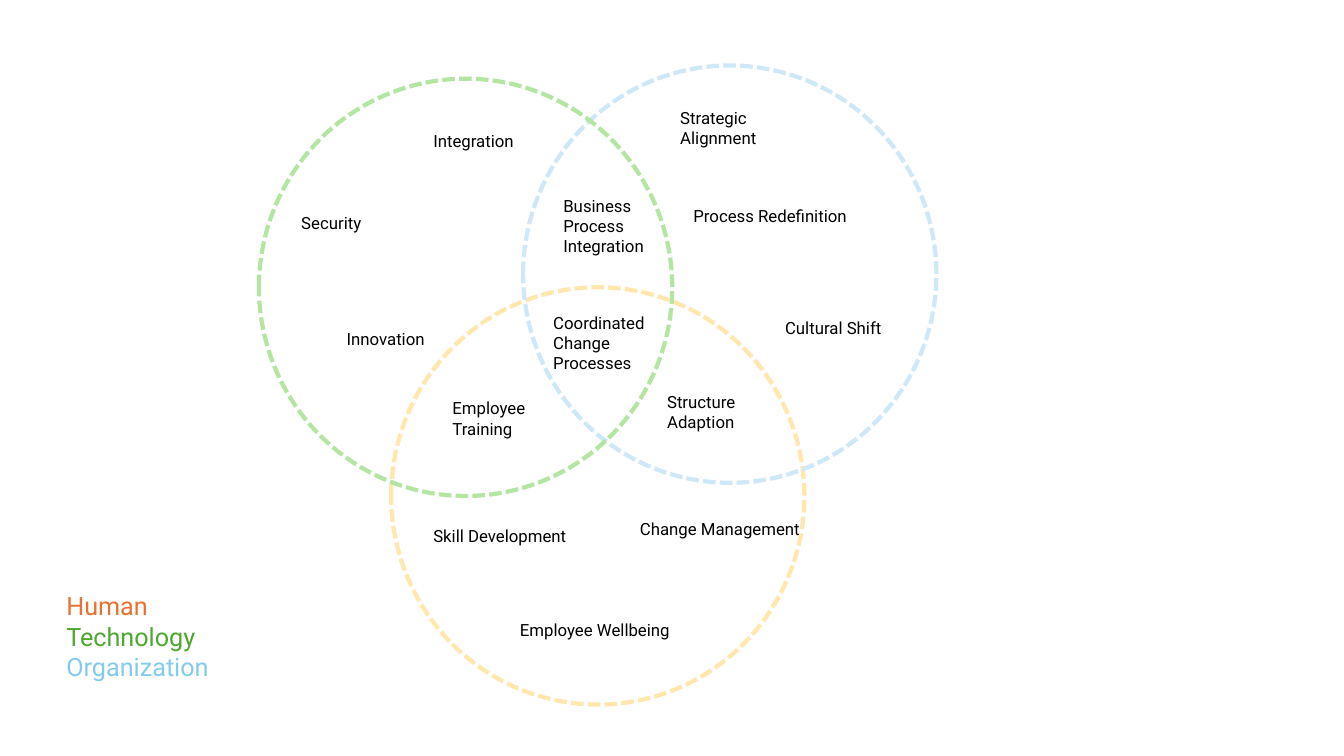
import pptx
import pptx.util
import pptx.dml.color
import pptx.enum.dml
import pptx.enum.shapes
import pptx.enum.text

Pt = pptx.util.Pt
COLORS = {
    "human ring": "FFE7AD", "organization ring": "CEE8F7", "technology ring": "B4E5A2",
    "human": "E97132", "technology": "4EA72E", "organization": "83CBEB",
    "label": "000000",
}
FONT = "Roboto"

# Ring colour, left, top
RINGS = [
    ("human ring", 279.4, 205.2),
    ("organization ring", 373.7, 46.8),
    ("technology ring", 185, 56.2),
]
RING_W, RING_H = 295.2, 298.1

LEGEND = [("Human", "human"), ("Technology", "technology"), ("Organization", "organization")]

# Text, left, top, width, lines of box height
LABELS = [
    ("Integration", 302.4, 90, 142.6, 1),
    ("Security", 208.1, 148.3, 142.6, 1),
    ("Innovation", 240.5, 231.1, 142.6, 1),
    ("Employee Training", 316.1, 280.8, 99.4, 2),
    ("Skill Development", 302.4, 372.2, 142.6, 1),
    ("Change Management", 450, 367.2, 142.6, 1),
    ("Employee Wellbeing", 364.3, 439.2, 142.6, 1),
    ("Business Process Integration", 395.3, 136.1, 99.4, 3),
    ("Structure Adaption", 469.4, 276.5, 99.4, 2),
    ("Process Redefinition", 488.2, 143.3, 148.3, 1),
    ("Strategic Alignment", 478.8, 73.4, 117.4, 1),
    ("Cultural Shift", 553.7, 223.2, 99.4, 1),
    ("Coordinated Change Processes", 388.1, 219.6, 81.4, 3),
]
LINE_H, PAD = 14.5, 7.2


def rgb(name):
    return pptx.dml.color.RGBColor.from_string(COLORS[name])


def add_text(s, lines, left, top, width, height, size=12):
    """Add a text box with one paragraph for each (text, colour) pair."""
    tf = s.shapes.add_textbox(Pt(left), Pt(top), Pt(width), Pt(height)).text_frame
    tf.word_wrap = True
    tf.auto_size = pptx.enum.text.MSO_AUTO_SIZE.SHAPE_TO_FIT_TEXT
    for i, (text, color) in enumerate(lines):
        p = tf.add_paragraph() if i else tf.paragraphs[0]
        r = p.add_run()
        r.text = text
        r.font.name = FONT
        r.font.size = Pt(size)
        r.font.color.rgb = rgb(color)


def add_ring(s, color, left, top):
    ring = s.shapes.add_shape(pptx.enum.shapes.MSO_SHAPE.OVAL,
                              Pt(left), Pt(top), Pt(RING_W), Pt(RING_H))
    ring.shadow.inherit = False
    ring.fill.background()
    ring.line.color.rgb = rgb(color)
    ring.line.width = Pt(3)
    ring.line.dash_style = pptx.enum.dml.MSO_LINE.SQUARE_DOT


def main():
    prs = pptx.Presentation()
    prs.slide_width, prs.slide_height = Pt(960), Pt(540)
    s = prs.slides.add_slide(prs.slide_layouts[6])
    for color, left, top in RINGS:
        add_ring(s, color, left, top)
    add_text(s, LEGEND, 40.3, 418.3, 160.6, 72.7, size=18)
    for text, left, top, width, rows in LABELS:
        add_text(s, [(text, "label")], left, top, width, rows * LINE_H + PAD)
    prs.save("out.pptx")


if __name__ == "__main__":
    main()
